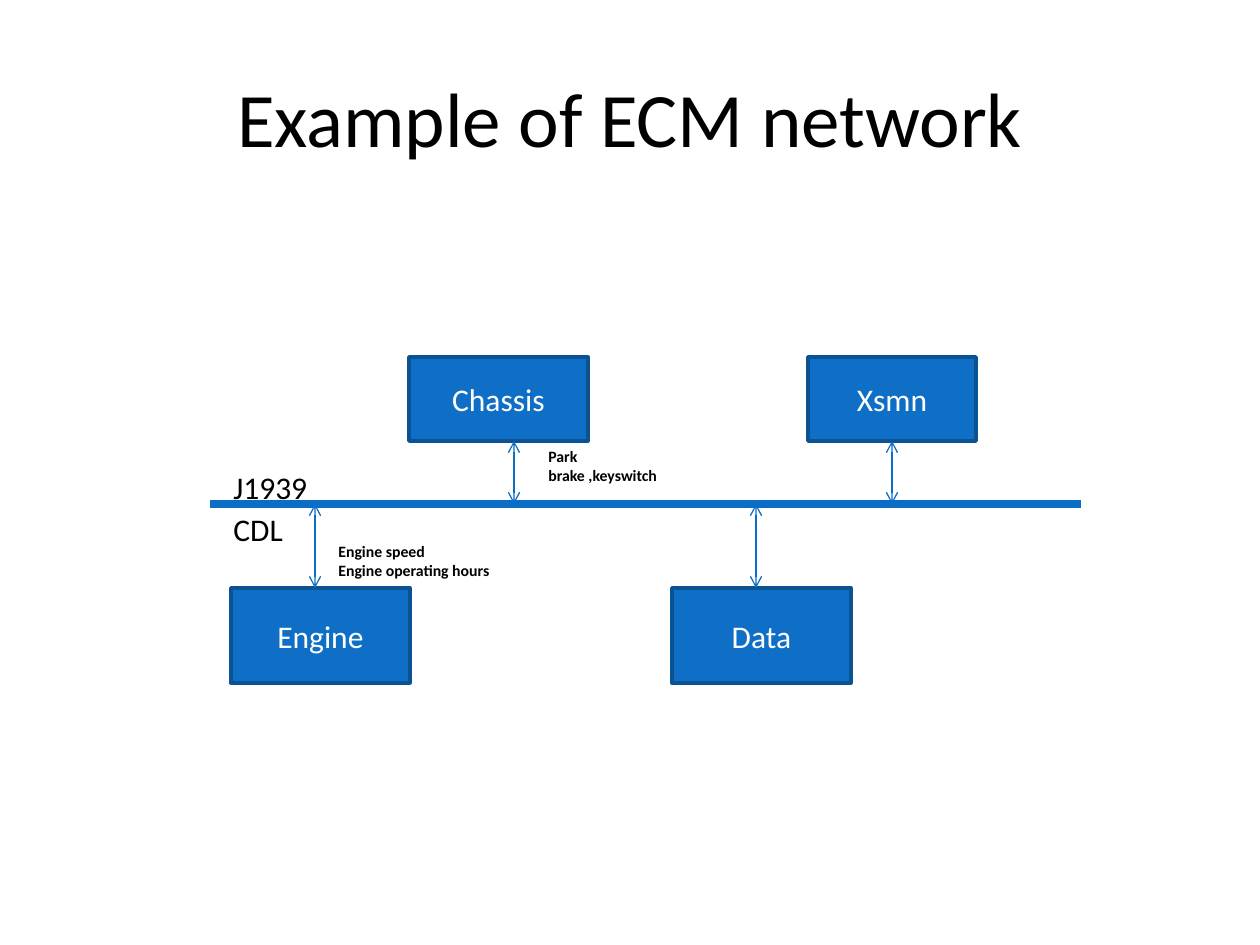
from lxml import etree
from pptx import Presentation
from pptx import util as u
from pptx.dml.color import RGBColor
from pptx.enum import shapes, text
from pptx.oxml import ns

# Content: lengths in px, 126 to the inch
SCALE = 914400 / 126
COLORS = {"bus": "0A6DC6", "box": "0F6FC6", "edge": "0B5292",
          "black": "000000", "white": "FFFFFF"}
TITLE = "Example of ECM network"
BUS = (210, 1081, 504)  # left, right, y
ROWS = {"above": (357, 84), "below": (588, 95)}  # top, height
MODULES = [  # name, row, left, width, link x
    ("Xsmn", "above", 808, 168, 892),
    ("Data", "below", 672, 179, 756),
    ("Chassis", "above", 409, 179, 514),
    ("Engine", "below", 231, 179, 315),
]
LABELS = [  # lines, left, top, width, size, bold
    (["J1939"], 221, 462, 105, 18, False),
    (["CDL"], 221, 504, 84, 18, False),
    (["Engine speed", "Engine operating hours"], 326, 536, 189, 9, True),
    (["Park brake ,keyswitch"], 536, 441, 136, 9, True),
]


def px(*values):
    return [u.Emu(round(value * SCALE)) for value in values]


def rgb(name):
    return RGBColor.from_string(COLORS[name])


def write(frame, lines, size=18, color="black", bold=False,
          align=text.PP_ALIGN.LEFT, anchor=text.MSO_ANCHOR.TOP):
    frame.word_wrap = True
    frame.vertical_anchor = anchor
    for index, line in enumerate(lines):
        paragraph = frame.add_paragraph() if index else frame.paragraphs[0]
        paragraph.alignment = align
        run = paragraph.add_run()
        run.text = line
        run.font.name = "Calibri"
        run.font.size = u.Pt(size)
        run.font.bold = bold
        run.font.color.rgb = rgb(color)


def add_line(slide, start, end, width, arrows=False):
    line = slide.shapes.add_connector(
        shapes.MSO_CONNECTOR.STRAIGHT, *px(*start, *end))
    line.line.color.rgb = rgb("bus")
    line.line.width = u.Pt(width)
    if arrows:
        outline = line.line._get_or_add_ln()
        for tag in ("a:headEnd", "a:tailEnd"):
            etree.SubElement(outline, ns.qn(tag), type="arrow")
    etree.SubElement(line._element.spPr, ns.qn("a:effectLst"))
    return line


def add_module(slide, name, left, top, width, height):
    box = slide.shapes.add_shape(
        shapes.MSO_SHAPE.RECTANGLE, *px(left, top, width, height))
    box.shadow.inherit = False
    box.fill.solid()
    box.fill.fore_color.rgb = rgb("box")
    box.line.color.rgb = rgb("edge")
    box.line.width = u.Pt(2)
    write(box.text_frame, [name], color="white",
          align=text.PP_ALIGN.CENTER, anchor=text.MSO_ANCHOR.MIDDLE)
    return box


def main():
    presentation = Presentation()
    presentation.slide_width, presentation.slide_height = px(1260, 945)
    slide = presentation.slides.add_slide(presentation.slide_layouts[5])

    # Title
    title = slide.shapes.title
    title.left, title.top, title.width, title.height = px(63, 38, 1134, 157)
    write(title.text_frame, [TITLE], size=44,
          align=text.PP_ALIGN.CENTER, anchor=text.MSO_ANCHOR.MIDDLE)

    # Bus
    bus_left, bus_right, bus_y = BUS
    add_line(slide, (bus_left, bus_y), (bus_right, bus_y), 4.5)

    # Modules and their links to the bus
    for name, row, left, width, link_x in MODULES:
        top, height = ROWS[row]
        box = add_module(slide, name, left, top, width, height)
        side, edge = (2, top + height) if row == "above" else (0, top)
        link = add_line(slide, (link_x, bus_y), (link_x, edge), 0.75, arrows=True)
        if link_x == left + width / 2:
            link.end_connect(box, side)

    # Labels
    for lines, left, top, width, size, bold in LABELS:
        label = slide.shapes.add_textbox(*px(left, top, width, 50))
        write(label.text_frame, lines, size=size, bold=bold)
        label.text_frame.auto_size = text.MSO_AUTO_SIZE.SHAPE_TO_FIT_TEXT

    presentation.save("out.pptx")


if __name__ == "__main__":
    main()
